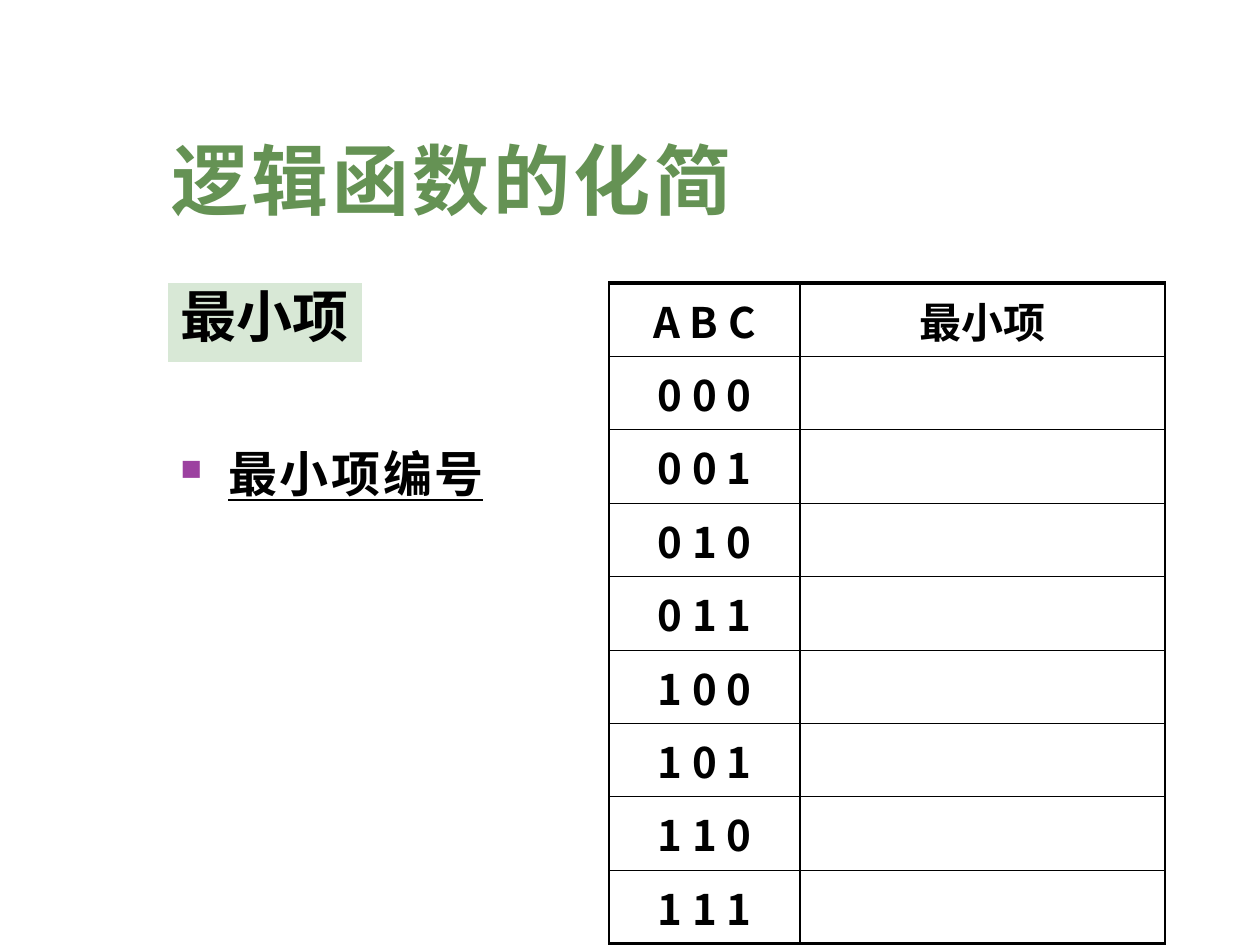
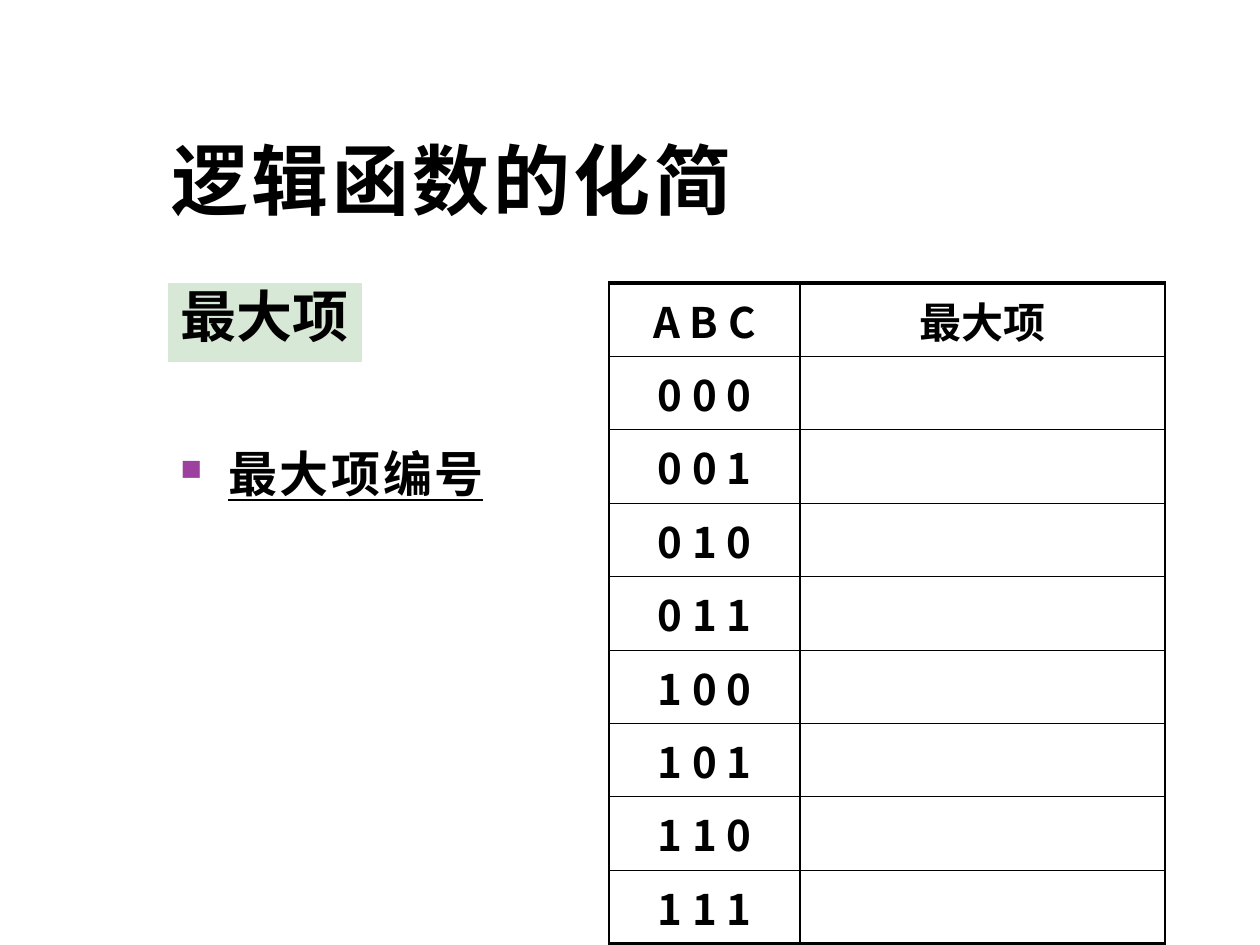
import pptx
import pptx.dml.color
import pptx.enum.shapes
import pptx.enum.text
import pptx.oxml
import pptx.oxml.ns
import pptx.util

EMU_PER_PX = 914400 / 126
FONT = "Noto Sans CJK SC"
BLACK, GREEN, PALE_GREEN, PURPLE = "000000", "659254", "D8E8D6", "9C41A0"
TITLE = "逻辑函数的化简"

TITLE_BOX = (159, 29, 1074, 202)
TERM_BOX = (168, 283, 194, 79)
BODY_BOX = (168, 420, 525, 567)
TABLE_BOX = (609, 283, 556, 661)
COLUMN_WIDTHS = (191, 365)
VARIABLES = 3


def px(length):
    return pptx.util.Emu(round(length * EMU_PER_PX))


def colour(hex_value):
    return pptx.dml.color.RGBColor.from_string(hex_value)


def add_child(parent, tag, **attributes):
    element = parent.makeelement(pptx.oxml.ns.qn(tag), attributes)
    parent.append(element)
    return element


def add_run(paragraph, text, size, hex_value=BLACK, spacing=0, underline=None):
    """Add bold text; spacing is the letter spacing in points."""
    run = paragraph.add_run()
    run.text = text
    font = run.font
    font.size, font.bold, font.underline = pptx.util.Pt(size), True, underline
    font.color.rgb = colour(hex_value)
    font.name = FONT
    properties = run._r.get_or_add_rPr()
    add_child(properties, "a:ea", typeface=FONT)
    if spacing:
        properties.set("spc", str(int(spacing * 100)))


def add_title(slide, box, hex_value):
    frame = slide.shapes.add_textbox(*map(px, box)).text_frame
    frame.word_wrap = True
    frame.vertical_anchor = pptx.enum.text.MSO_ANCHOR.BOTTOM
    add_run(frame.paragraphs[0], TITLE, 44, hex_value, spacing=2)


def add_term_label(slide, box, term):
    label = slide.shapes.add_shape(
        pptx.enum.shapes.MSO_SHAPE.RECTANGLE, *map(px, box))
    label.shadow.inherit = False
    label.fill.solid()
    label.fill.fore_color.rgb = colour(PALE_GREEN)
    label.line.fill.background()
    frame = label.text_frame
    frame.word_wrap = True
    frame.vertical_anchor = pptx.enum.text.MSO_ANCHOR.TOP
    frame.margin_right = 0
    paragraph = frame.paragraphs[0]
    paragraph.alignment = pptx.enum.text.PP_ALIGN.LEFT
    paragraph.line_spacing = 0.9
    add_run(paragraph, term, 32)


def add_numbering_point(slide, box, term):
    frame = slide.shapes.add_textbox(*map(px, box)).text_frame
    frame.word_wrap = True
    paragraph = frame.paragraphs[0]
    properties = paragraph._p.get_or_add_pPr()
    indent = px(48)
    properties.set("marL", str(indent))
    properties.set("indent", str(-indent))
    bullet_colour = add_child(properties, "a:buClr")
    add_child(bullet_colour, "a:srgbClr", val=PURPLE)
    add_child(properties, "a:buSzPct", val="60000")
    add_child(properties, "a:buFont", typeface="Wingdings", charset="2")
    add_child(properties, "a:buChar", char="n")
    paragraph.line_spacing = 1.3
    add_run(paragraph, f"{term}编号", 28, spacing=1.5, underline=True)


def set_borders(cell, left, right, top, bottom):
    """Draw the four black borders, widths in points."""
    properties = cell._tc.get_or_add_tcPr()
    sides = {"a:lnL": left, "a:lnR": right, "a:lnT": top, "a:lnB": bottom}
    for tag, width in sides.items():
        line = add_child(properties, tag, w=str(pptx.util.Pt(width)))
        add_child(add_child(line, "a:solidFill"), "a:srgbClr", val=BLACK)


def add_truth_table(slide, box, term):
    codes = [" ".join(f"{n:0{VARIABLES}b}") for n in range(2 ** VARIABLES)]
    rows = [("A B C", term)] + [(code, "") for code in codes]
    table = slide.shapes.add_table(
        len(rows), len(COLUMN_WIDTHS), *map(px, box)).table
    table.first_row = table.horz_banding = False
    for column, width in zip(table.columns, COLUMN_WIDTHS):
        column.width = px(width)
    last = len(rows) - 1
    for r, texts in enumerate(rows):
        table.rows[r].height = px(box[3] / len(rows))
        top = {0: 2, 1: 1}.get(r, 0.75)
        bottom = {0: 1, last: 2}.get(r, 0.75)
        for c, text in enumerate(texts):
            cell = table.cell(r, c)
            set_borders(cell, 1 if c else 0.75, 1, top, bottom)
            cell.fill.background()
            if text:
                paragraph = cell.text_frame.paragraphs[0]
                paragraph.alignment = pptx.enum.text.PP_ALIGN.CENTER
                add_run(paragraph, text, 24)


def add_term_slide(deck, term, title_colour):
    slide = deck.slides.add_slide(deck.slide_layouts[6])
    add_title(slide, TITLE_BOX, title_colour)
    add_numbering_point(slide, BODY_BOX, term)
    add_term_label(slide, TERM_BOX, term)
    add_truth_table(slide, TABLE_BOX, term)


def main():
    deck = pptx.Presentation()
    deck.slide_width, deck.slide_height = px(1260), px(945)
    add_term_slide(deck, "最小项", GREEN)
    add_term_slide(deck, "最大项", BLACK)
    deck.save("out.pptx")


if __name__ == "__main__":
    main()
